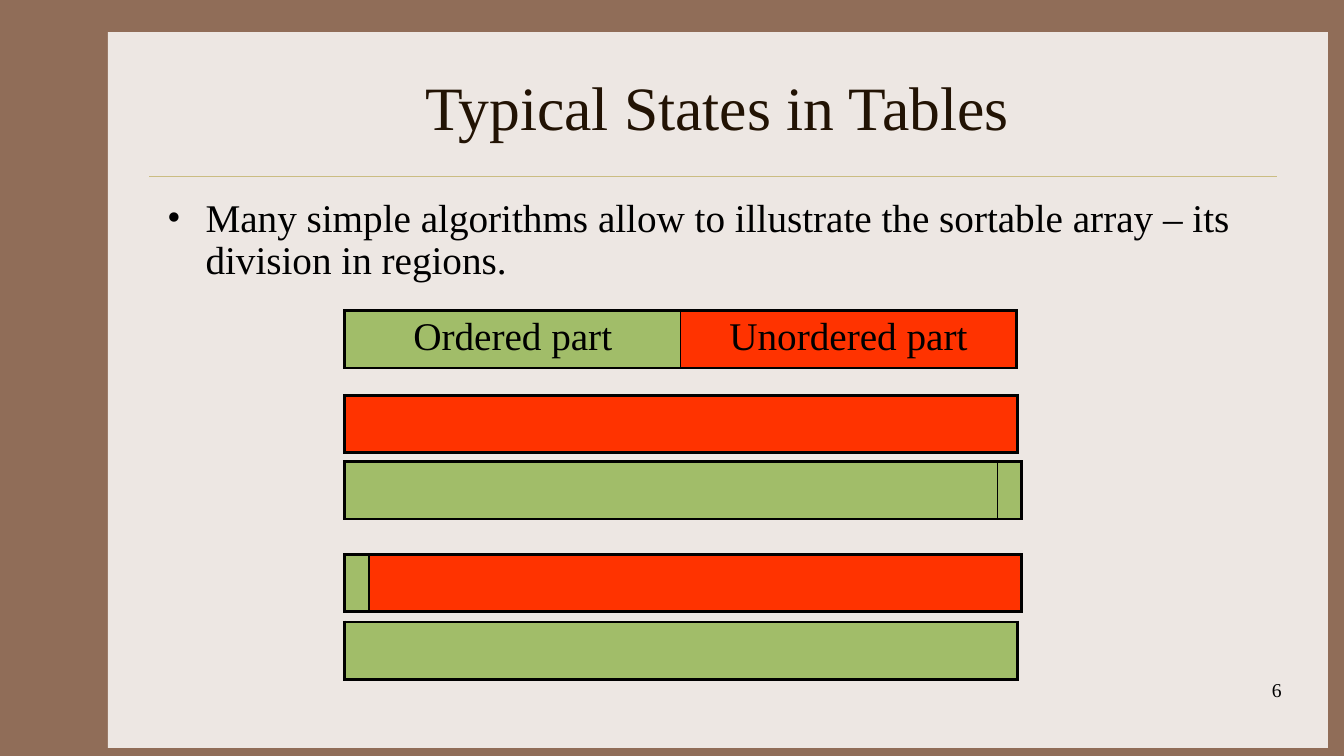
from lxml.etree import SubElement
from pptx import Presentation
from pptx.dml.color import RGBColor
from pptx.enum.shapes import MSO_CONNECTOR, MSO_SHAPE
from pptx.enum.text import MSO_ANCHOR, PP_ALIGN
from pptx.oxml.ns import qn
from pptx.util import Inches, Pt

COLORS = {
    "frame": "906D58",
    "panel": "EDE7E3",
    "rule": "CBBD83",
    "title": "221304",
    "text": "000000",
    "ordered": "A1BD69",
    "unordered": "FF3300",
}
FONT = "Times New Roman"
BAR_LEFT, BAR_HEIGHT = 3.42, 0.57
FULL, HALF, MOST, ONE = 6.67, 3.33, 6.47, 0.23
OUTER_LINE, INNER_LINE = 2.25, 1

STATES = [
    (3.08, [(HALF, "ordered", "Ordered part"), (HALF, "unordered", "Unordered part")]),
    (3.92, [(FULL, "unordered", "")]),
    (4.58, [(MOST, "ordered", ""), (ONE, "ordered", "")]),
    (5.5, [(ONE, "ordered", ""), (MOST, "unordered", "")]),
    (6.17, [(FULL, "ordered", "")]),
]


def color(name):
    """Return the named colour of the palette."""
    return RGBColor.from_string(COLORS[name])


def style_paragraph(para, size, align, tint="text"):
    """Set alignment and font of a paragraph."""
    para.alignment = align
    for span in para.runs:
        span.font.name = FONT
        span.font.size = Pt(size)
        span.font.color.rgb = color(tint)


def add_text(page, place, text, size, align, tint="text", anchor=MSO_ANCHOR.TOP):
    """Add a wrapping text box and return its paragraph."""
    box = page.shapes.add_textbox(*map(Inches, place))
    frame = box.text_frame
    frame.word_wrap = True
    frame.vertical_anchor = anchor
    frame.text = text
    para = frame.paragraphs[0]
    style_paragraph(para, size, align, tint)
    return para


def add_bullet(para, indent):
    """Give a paragraph a round bullet and a hanging indent."""
    properties = para._p.get_or_add_pPr()
    properties.set("marL", str(Inches(indent)))
    properties.set("indent", str(-Inches(indent)))
    SubElement(properties, qn("a:buFont"), typeface=FONT)
    SubElement(properties, qn("a:buChar"), char="•")


def add_panel(page):
    """Draw the light panel and the thin rule under the title."""
    panel = page.shapes.add_shape(
        MSO_SHAPE.RECTANGLE, Inches(1.07), Inches(0.32), Inches(12.1), Inches(7.1)
    )
    panel.shadow.inherit = False
    panel.fill.solid()
    panel.fill.fore_color.rgb = color("panel")
    panel.line.fill.background()
    rule = page.shapes.add_connector(
        MSO_CONNECTOR.STRAIGHT, Inches(1.48), Inches(1.75), Inches(12.67), Inches(1.75)
    )
    rule.line.color.rgb = color("rule")
    rule.line.width = Pt(0.25)
    SubElement(rule._element.spPr, qn("a:effectLst"))


def set_borders(cell, left, right):
    """Draw the four borders of a cell, with the given side widths."""
    properties = cell._tc.get_or_add_tcPr()
    widths = {"L": left, "R": right, "T": OUTER_LINE, "B": OUTER_LINE}
    for side, width in widths.items():
        line = SubElement(properties, qn(f"a:ln{side}"), w=str(Pt(width)))
        fill = SubElement(line, qn("a:solidFill"))
        SubElement(fill, qn("a:srgbClr"), val=COLORS["text"])


def add_state(page, top, regions):
    """Add an array bar as a one-row table with a cell for each region."""
    total = sum(width for width, _, _ in regions)
    table = page.shapes.add_table(
        1, len(regions), Inches(BAR_LEFT), Inches(top), Inches(total), Inches(BAR_HEIGHT)
    ).table
    last = len(regions) - 1
    for index, (width, tint, label) in enumerate(regions):
        table.columns[index].width = Inches(width)
        cell = table.cell(0, index)
        set_borders(
            cell,
            INNER_LINE if index > 0 else OUTER_LINE,
            INNER_LINE if index < last else OUTER_LINE,
        )
        cell.fill.solid()
        cell.fill.fore_color.rgb = color(tint)
        if label:
            cell.text_frame.text = label
            style_paragraph(cell.text_frame.paragraphs[0], 28, PP_ALIGN.CENTER)
            cell.text_frame.paragraphs[0].font.bold = False


def main():
    """Build the slide and save it."""
    deck = Presentation()
    deck.slide_width, deck.slide_height = Inches(13.33), Inches(7.5)
    page = deck.slides.add_slide(deck.slide_layouts[6])
    page.background.fill.solid()
    page.background.fill.fore_color.rgb = color("frame")
    add_panel(page)
    add_text(
        page, (1.56, 0.42, 11.11, 1.25), "Typical States in Tables",
        44, PP_ALIGN.CENTER, "title", MSO_ANCHOR.MIDDLE,
    )
    intro = add_text(
        page, (1.56, 1.92, 11.11, 1.07),
        "Many simple algorithms allow to illustrate the sortable array – its division in regions.",
        28, PP_ALIGN.LEFT,
    )
    add_bullet(intro, 0.38)
    intro.line_spacing = 0.9
    add_text(page, (10.03, 6.68, 2.78, 0.5), "6", 14, PP_ALIGN.RIGHT)
    for top, regions in STATES:
        add_state(page, top, regions)
    deck.save("out.pptx")


if __name__ == "__main__":
    main()
